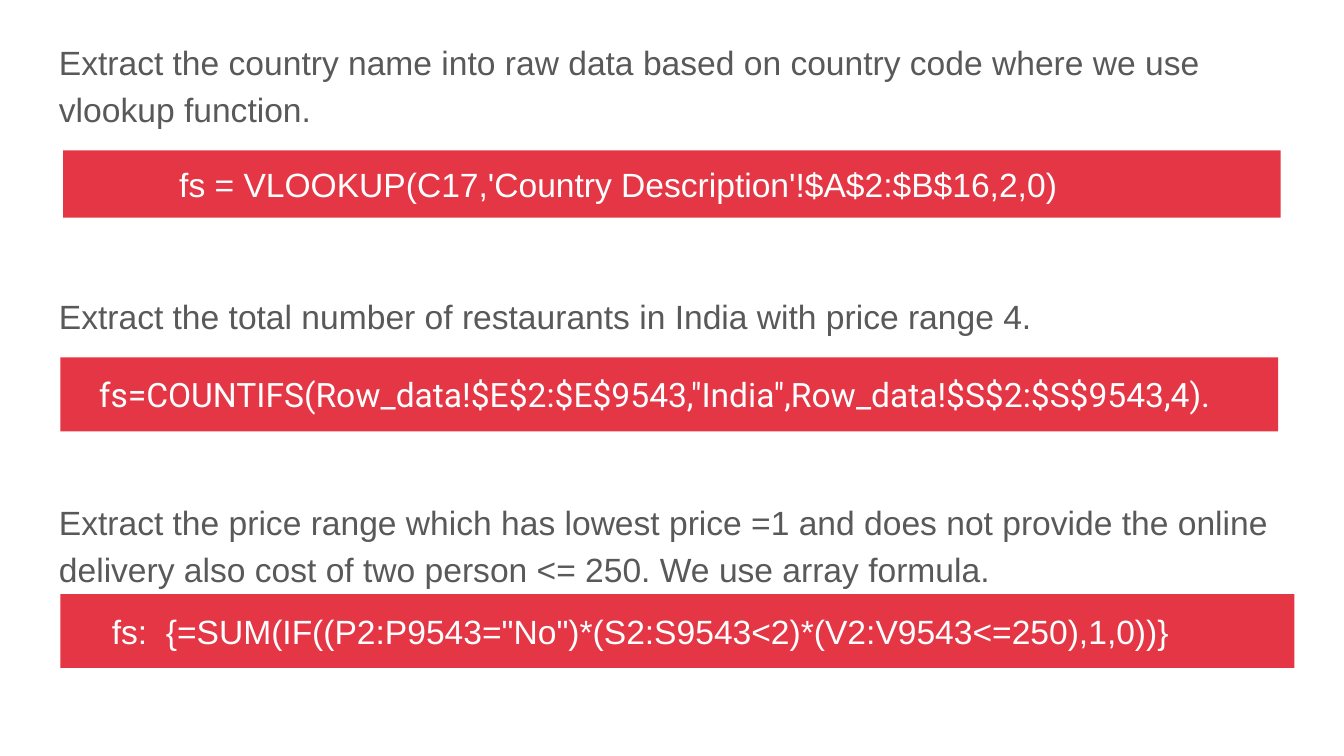
import pptx
import pptx.util
import pptx.dml.color
import pptx.enum.shapes
import pptx.enum.text

Pt = pptx.util.Pt
ANCHOR = pptx.enum.text.MSO_ANCHOR
INSET = 7.2
RED, GREY, WHITE = "E53645", "595959", "FFFFFF"

TASKS = [
    "Extract the country name into raw data based on country code "
    "where we use vlookup function.",
    "Extract the total number of restaurants in India with price range 4.",
    "Extract the price range which has lowest price =1 and does not provide "
    "the online delivery also cost of two person <= 250. We use array formula.",
]

# left, top, width, height, text indent, font, formula
BARS = [
    (33.84, 80.64, 652.3, 36, 55, "Arial",
     "fs = VLOOKUP(C17,'Country Description'!$A$2:$B$16,2,0)"),
    (32.4, 191.52, 652.3, 39.6, 13.4, "Roboto",
     'fs=COUNTIFS(Row_data!$E$2:$E$9543,"India",Row_data!$S$2:$S$9543,4).'),
    (32.4, 318.24, 661, 39.6, 20.3, "Arial",
     'fs:  {=SUM(IF((P2:P9543="No")*(S2:S9543<2)*(V2:V9543<=250),1,0))}'),
]


def rgb(code):
    return pptx.dml.color.RGBColor.from_string(code)


def write(shape, lines, font="Arial", size=18, color=GREY, indent=0,
          anchor=ANCHOR.TOP, pitch=None, gap=0):
    """Fill a shape with paragraphs; gap is the space between them."""
    frame = shape.text_frame
    frame.word_wrap = True
    frame.vertical_anchor = anchor
    frame.margin_left = Pt(INSET + indent)
    frame.margin_right = frame.margin_top = frame.margin_bottom = Pt(INSET)
    for i, line in enumerate(lines):
        para = frame.add_paragraph() if i else frame.paragraphs[0]
        para.alignment = pptx.enum.text.PP_ALIGN.LEFT
        para.line_spacing = pitch
        if i:
            para.space_before = Pt(gap)
        run = para.add_run()
        run.text = line
        run.font.name = font
        run.font.size = Pt(size)
        run.font.color.rgb = rgb(color)


def add_bar(slide, left, top, width, height):
    bar = slide.shapes.add_shape(
        pptx.enum.shapes.MSO_SHAPE.RECTANGLE,
        Pt(left), Pt(top), Pt(width), Pt(height))
    bar.shadow.inherit = False
    bar.fill.solid()
    bar.fill.fore_color.rgb = rgb(RED)
    bar.line.fill.background()
    return bar


def main():
    deck = pptx.Presentation()
    deck.slide_width, deck.slide_height = Pt(720), Pt(405)
    slide = deck.slides.add_slide(deck.slide_layouts[6])

    # Task descriptions, spaced to leave room for the bars
    tasks = slide.shapes.add_textbox(Pt(24.48), Pt(12.24), Pt(671), Pt(347.8))
    write(tasks, TASKS, pitch=1.15, gap=86)

    # Formula bars
    for left, top, width, height, indent, font, code in BARS:
        bar = add_bar(slide, left, top, width, height)
        write(bar, [code], font=font, color=WHITE, indent=indent,
              anchor=ANCHOR.MIDDLE)

    deck.save("out.pptx")


if __name__ == "__main__":
    main()
